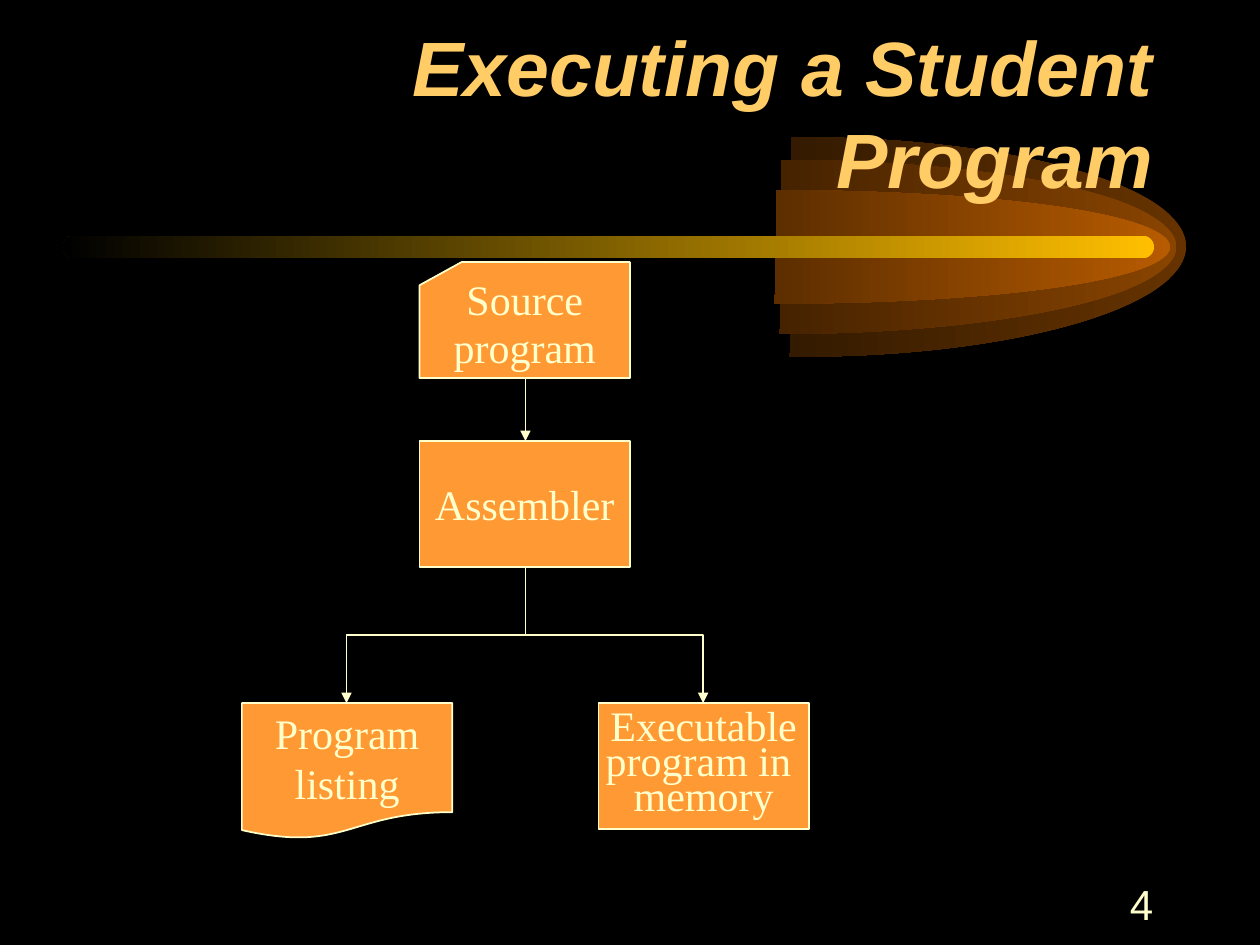
from lxml import etree
from pptx import Presentation
from pptx.dml.color import RGBColor
from pptx.enum import shapes, text
from pptx.oxml.ns import qn
from pptx.util import Inches, Pt

COLORS = {
    "background": "000000", "title": "FFCC66", "box": "FF9933",
    "cream": "FFFFCC", "bar": "FFBF00",
    "outer": "663300", "middle": "894400", "inner": "B75B00",
}


def write(shape, lines, font="Times New Roman", size=24, color="cream",
          align=text.PP_ALIGN.CENTER, anchor=text.MSO_ANCHOR.MIDDLE,
          wrap=False, spacings=(), bold=False, italic=False):
    frame = shape.text_frame
    frame.word_wrap = wrap
    frame.vertical_anchor = anchor
    frame.text = "\n".join(lines)
    for paragraph in frame.paragraphs:
        paragraph.alignment = align
        style = paragraph.runs[0].font
        style.name, style.size = font, Pt(size)
        style.bold, style.italic = bold, italic
        style.color.rgb = RGBColor.from_string(COLORS[color])
    for paragraph, spacing in zip(frame.paragraphs, spacings):
        paragraph.line_spacing = spacing


def fade(shape, color):
    """Fill without border, from color at the right to the background at the left."""
    shape.shadow.inherit = False
    shape.line.fill.background()
    shape.fill.gradient()
    shape.fill.gradient_angle = 180
    for stop, position, name in zip(shape.fill.gradient_stops, (0, 1), (color, "background")):
        stop.position = position
        stop.color.rgb = RGBColor.from_string(COLORS[name])


deck = Presentation()
deck.slide_width, deck.slide_height = Inches(10), Inches(7.5)
slide = deck.slides.add_slide(deck.slide_layouts[6])
slide.background.fill.solid()
slide.background.fill.fore_color.rgb = RGBColor.from_string(COLORS["background"])

# Comet: three nested half ellipses, each in the frame of its full ellipse
LOBE_WIDTH = 6.26
lobes = [
    ("outer", 3.16, 1.09, 1.75, (6.29, 1.96), [
        (6.28, 1.09), (7.4, 1.08), (8.44, 1.25), (9, 1.52), (9.56, 1.79),
        (9.55, 2.13), (8.99, 2.4), (8.43, 2.67), (7.39, 2.84), (6.27, 2.83)]),
    ("middle", 3.08, 1.27, 1.39, (6.21, 1.96), [
        (6.2, 1.27), (7.33, 1.27), (8.36, 1.4), (8.92, 1.61), (9.48, 1.83),
        (9.48, 2.09), (8.91, 2.31), (8.35, 2.52), (7.31, 2.65), (6.19, 2.65)]),
    ("inner", 3.03, 1.51, 0.91, (6.16, 1.96), [
        (6.16, 1.51), (7.28, 1.51), (8.31, 1.59), (8.87, 1.73), (9.43, 1.87),
        (9.43, 2.05), (8.87, 2.19), (8.31, 2.33), (7.27, 2.41), (6.15, 2.41)]),
]
for color, left, top, height, center, curve in lobes:
    right, bottom = left + LOBE_WIDTH, top + height
    builder = slide.shapes.build_freeform(Inches(left), Inches(top))
    builder.add_line_segments([(Inches(x), Inches(y)) for x, y in
                               ((right, top), (right, bottom), (left, bottom))])
    lobe = builder.convert_to_shape()
    # The builder has straight segments only: put the curves inside its frame
    outline = lobe._element.spPr.find(".//" + qn("a:path"))
    for segment in list(outline):
        outline.remove(segment)
    segments = [("a:moveTo", curve[:1])]
    segments += [("a:cubicBezTo", curve[i:i + 3]) for i in (1, 4, 7)]
    segments += [("a:lnTo", [center]), ("a:close", [])]
    for tag, points in segments:
        segment = etree.SubElement(outline, qn(tag))
        for x, y in points:
            etree.SubElement(segment, qn("a:pt"),
                             x=str(Inches(x - left)), y=str(Inches(y - top)))
    fade(lobe, color)

bar = slide.shapes.add_shape(shapes.MSO_SHAPE.ROUNDED_RECTANGLE,
                             Inches(0.5), Inches(1.87), Inches(8.66), Inches(0.18))
bar.adjustments[0] = 0.5
fade(bar, "bar")

title = slide.shapes.add_textbox(Inches(0.75), Inches(0.42), Inches(8.5), Inches(1.25))
write(title, ["Executing a Student Program"], font="Arial", size=44, color="title",
      align=text.PP_ALIGN.RIGHT, anchor=text.MSO_ANCHOR.BOTTOM,
      wrap=True, bold=True, italic=True)

# Flowchart boxes share one width
BOX_WIDTH = 1.67
boxes = [
    (shapes.MSO_SHAPE.FLOWCHART_CARD, 3.33, 2.08, 0.92, ["Source", "program"], [0.6]),
    (shapes.MSO_SHAPE.RECTANGLE, 3.33, 3.5, 1, ["Assembler"], []),
    (shapes.MSO_SHAPE.FLOWCHART_DOCUMENT, 1.92, 5.58, 1.08, ["Program", "listing"], []),
    (shapes.MSO_SHAPE.RECTANGLE, 4.75, 5.58, 1,
     ["Executable", "program in ", "memory"], [0.7] * 3),
]
for kind, left, top, height, lines, spacings in boxes:
    box = slide.shapes.add_shape(kind, Inches(left), Inches(top),
                                 Inches(BOX_WIDTH), Inches(height))
    box.shadow.inherit = False
    box.fill.solid()
    box.fill.fore_color.rgb = RGBColor.from_string(COLORS["box"])
    box.line.color.rgb = RGBColor.from_string(COLORS["cream"])
    box.line.width = Pt(1)
    write(box, lines, spacings=spacings)

# Arrows: one straight, then two elbows turned so that they leave downwards
TRUNK, FORK_TOP, FORK_BOTTOM = 4.17, 4.5, 5.58
arrows = [(shapes.MSO_CONNECTOR.STRAIGHT, TRUNK, 3, TRUNK, 3.5, 0)]
half_drop = (FORK_BOTTOM - FORK_TOP) / 2
middle_y = FORK_TOP + half_drop
for target, side, turn in ((2.75, -1, 90), (5.58, 1, 270)):
    middle_x = (TRUNK + target) / 2
    half_reach = abs(target - TRUNK) / 2
    arrows.append((shapes.MSO_CONNECTOR.ELBOW,
                   middle_x + side * half_drop, middle_y - half_reach,
                   middle_x - side * half_drop, middle_y + half_reach, turn))

for kind, x1, y1, x2, y2, turn in arrows:
    arrow = slide.shapes.add_connector(kind, Inches(x1), Inches(y1), Inches(x2), Inches(y2))
    arrow.line.color.rgb = RGBColor.from_string(COLORS["cream"])
    arrow.line.width = Pt(1)
    properties = arrow._element.spPr
    if turn:
        properties.find(qn("a:xfrm")).set("rot", str(turn * 60000))
    etree.SubElement(properties.find(qn("a:ln")), qn("a:tailEnd"), type="triangle")
    etree.SubElement(properties, qn("a:effectLst"))

page_number = slide.shapes.add_textbox(Inches(7.17), Inches(6.92), Inches(2.08), Inches(0.5))
write(page_number, ["4"], font="Arial", align=text.PP_ALIGN.RIGHT, wrap=True)

deck.save("out.pptx")
